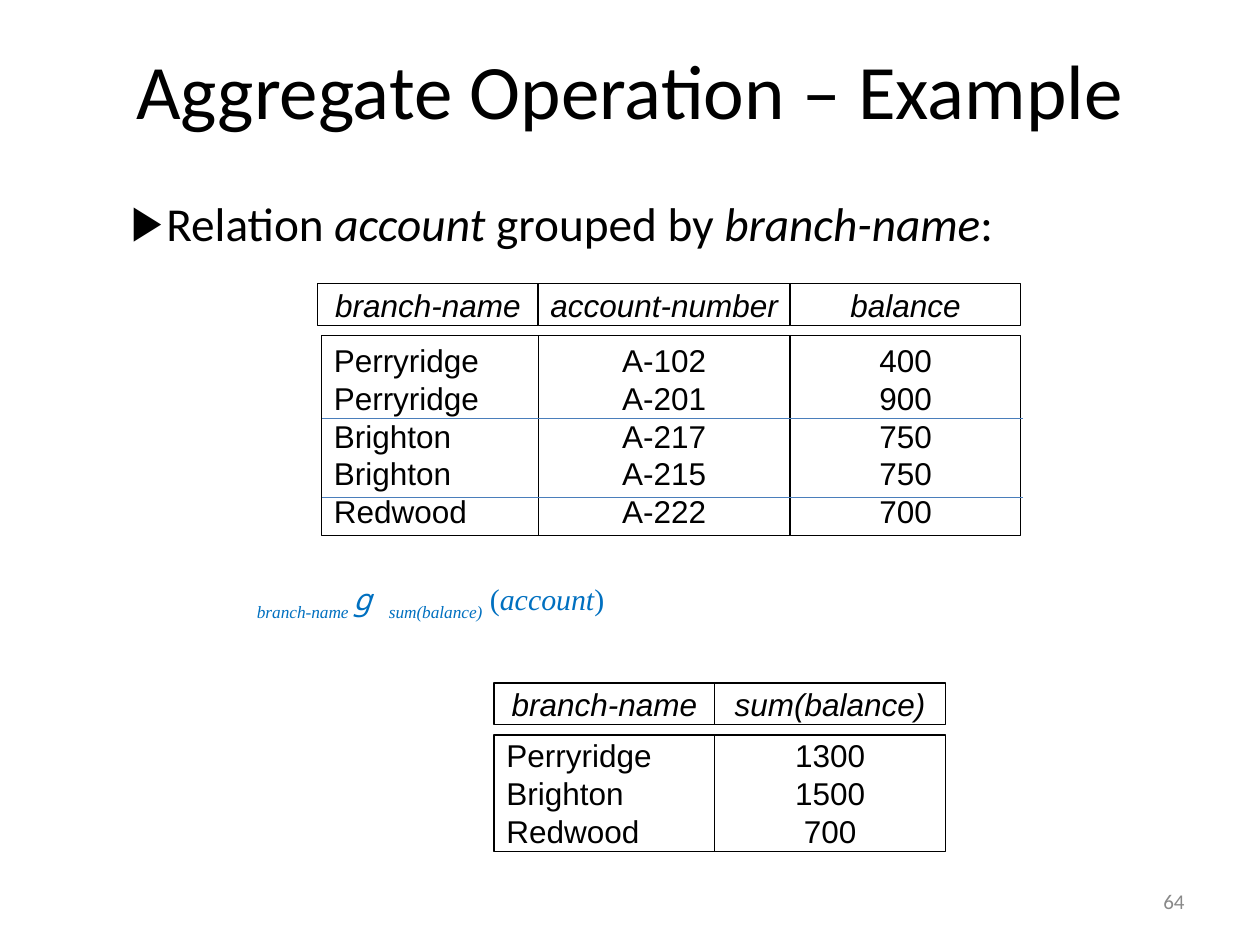
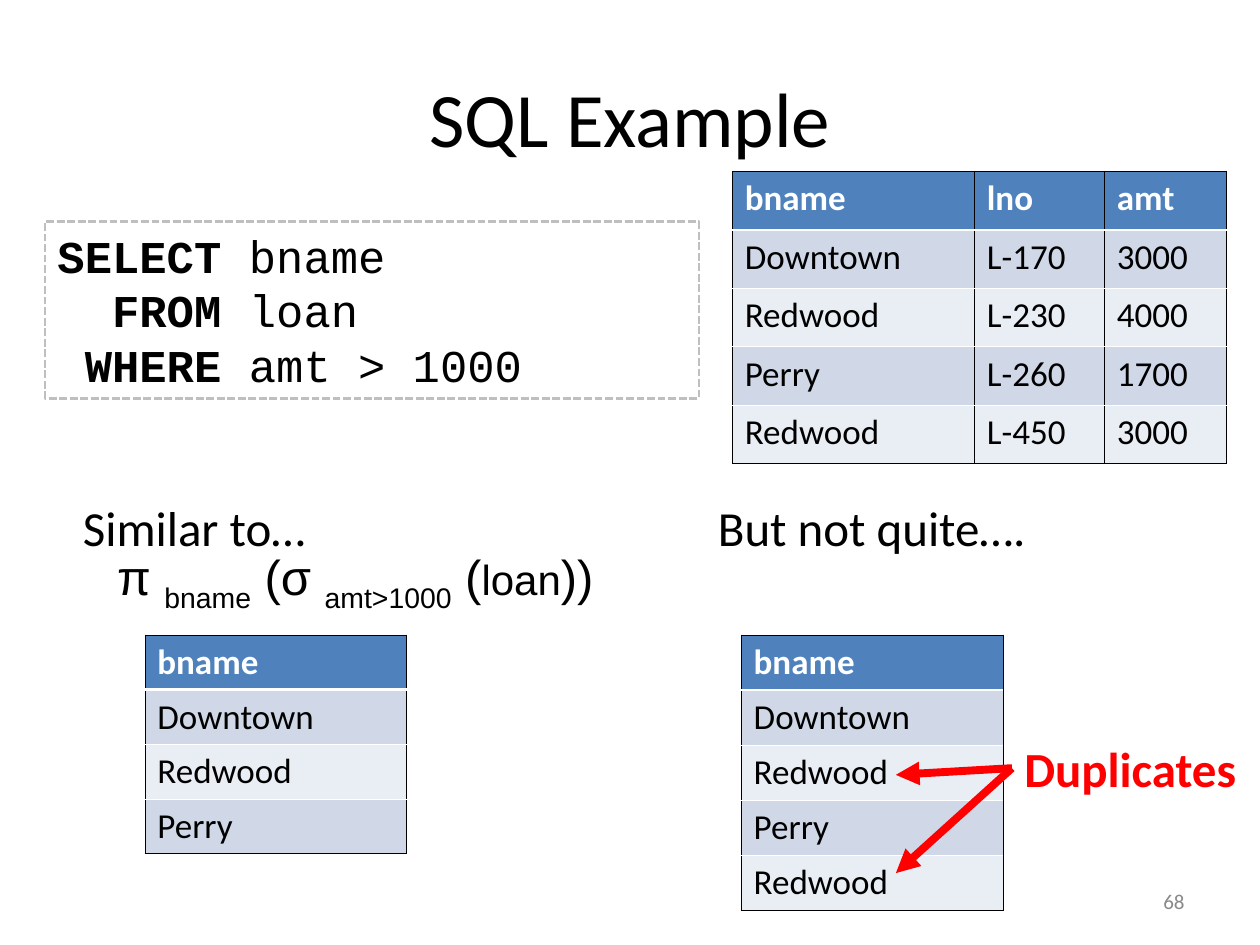
from lxml import etree
from pptx import Presentation
from pptx.dml.color import RGBColor
from pptx.enum import dml, shapes, text
from pptx.oxml import ns
from pptx.util import Cm, Pt

COLORS = {
    "black": "000000", "white": "FFFFFF", "formula": "0070C0", "rule": "4A7EBB",
    "number": "898989", "dash": "BFBFBF", "red": "FF0000",
    "header": "4F81BD", "odd": "D0D8E8", "even": "E9EDF4",
}
LEFT, CENTER, RIGHT = text.PP_ALIGN.LEFT, text.PP_ALIGN.CENTER, text.PP_ALIGN.RIGHT
MIDDLE = text.MSO_ANCHOR.MIDDLE
ITALIC, BOLD = {"italic": True}, {"bold": True}


def write(frame, lines, size, name="Arial", color="black", align=LEFT, **common):
    for index, line in enumerate(lines):
        para = frame.add_paragraph() if index else frame.paragraphs[0]
        para.alignment = align
        for words, look in [(line, {})] if isinstance(line, str) else line:
            span = para.add_run()
            span.text = words
            span.font.color.rgb = RGBColor.from_string(COLORS[color])
            look = {"size": size, "name": name, **common, **look}
            if look.pop("sub", False):
                span.font._element.set("baseline", "-25000")
            look["size"] = Pt(look["size"])
            for key, value in look.items():
                setattr(span.font, key, value)


def draw_line(page, start, end, color, width):
    line = page.shapes.add_connector(
        shapes.MSO_CONNECTOR.STRAIGHT, *[Cm(v) for v in start + end])
    line.line.color.rgb = RGBColor.from_string(COLORS[color])
    line.line.width = Pt(width)
    etree.SubElement(line._element.spPr, ns.qn("a:effectLst"))
    return line


deck = Presentation()
deck.slide_width, deck.slide_height = Cm(25.4), Cm(19.05)
pages = []
for layout, title, top, number in [
    (1, "Aggregate Operation – Example", 0.2, "64"),
    (5, "SQL Example", 0.76, "68"),
]:
    page = deck.slides.add_slide(deck.slide_layouts[layout])
    box = page.shapes.title
    box.left, box.top, box.width, box.height = Cm(1.27), Cm(top), Cm(22.86), Cm(3.18)
    box.text_frame.vertical_anchor = MIDDLE
    write(box.text_frame, [title], 44, "Calibri", align=CENTER)
    box = page.shapes.add_textbox(Cm(18.2), Cm(17.65), Cm(5.93), Cm(1.02))
    box.text_frame.word_wrap = True
    box.text_frame.vertical_anchor = MIDDLE
    write(box.text_frame, [number], 12, "Calibri", "number", RIGHT)
    pages.append(page)
aggregate, sql = pages

body = aggregate.placeholders[1]
body.left, body.top, body.width, body.height = Cm(2.08), Cm(4.01), Cm(21.03), Cm(1.22)
body.text_frame.auto_size = text.MSO_AUTO_SIZE.NONE
write(body.text_frame, [[
    ("Relation ", {}), ("account", ITALIC), (" grouped by ", {}),
    ("branch-name", ITALIC), (":", {}),
]], 27, "Calibri")
para = body.text_frame.paragraphs[0]
para.line_spacing, para.space_before = 0.8, Pt(0)
properties = para._p.get_or_add_pPr()
properties.set("marL", str(Cm(1.02)))
properties.set("indent", str(Cm(-0.71)))
bullet_color = etree.SubElement(properties, ns.qn("a:buClr"))
etree.SubElement(bullet_color, ns.qn("a:srgbClr"), val=COLORS["black"])
etree.SubElement(properties, ns.qn("a:buChar"), char="▶")

formula = aggregate.shapes.add_textbox(Cm(4.93), Cm(11.66), Cm(17.35), Cm(1.14))
formula.text_frame.word_wrap = True
write(formula.text_frame, [[
    ("branch-name ", {"italic": True, "sub": True}),
    ("g ", {"italic": True, "name": "Noto Sans Mono"}),
    ("sum(balance)", {"italic": True, "sub": True}),
    (" (", {}), ("account", ITALIC), (")", {}),
]], 17.1, "Times New Roman", "formula")
formula.text_frame.paragraphs[0].line_spacing = 0.8

account = [
    (4.45, LEFT, "branch-name", ["Perryridge", "Perryridge", "Brighton", "Brighton", "Redwood"]),
    (5.08, CENTER, "account-number", ["A-102", "A-201", "A-217", "A-215", "A-222"]),
    (4.65, CENTER, "balance", ["400", "900", "750", "750", "700"]),
]
sums = [
    (4.45, LEFT, "branch-name", ["Perryridge", "Brighton", "Redwood"]),
    (4.65, CENTER, "sum(balance)", ["1300", "1500", "700"]),
]
for left, top, shift, body_height, columns in [
    (6.4, 5.72, 0.08, 4.02, account),
    (9.96, 13.77, 0, 2.34, sums),
]:
    for width, align, heading, values in columns:
        for x, y, height, lines, side, italic in [
            (left, top, 0.84, [heading], CENTER, True),
            (left + shift, top + 1.05, body_height, values, align, False),
        ]:
            box = aggregate.shapes.add_shape(
                shapes.MSO_SHAPE.RECTANGLE, Cm(x), Cm(y), Cm(width), Cm(height))
            box.shadow.inherit = False
            box.fill.solid()
            box.fill.fore_color.rgb = RGBColor.from_string(COLORS["white"])
            box.line.color.rgb = RGBColor.from_string(COLORS["black"])
            box.line.width = Pt(0.75)
            box.text_frame.word_wrap = False
            box.text_frame.vertical_anchor = MIDDLE
            write(box.text_frame, lines, 18, align=side, italic=italic)
        left += width
        shift = 0

for y in (8.43, 10.03):
    draw_line(aggregate, (6.49, y), (20.62, y), "rule", 0.75)

query = sql.shapes.add_shape(
    shapes.MSO_SHAPE.RECTANGLE, Cm(0.91), Cm(4.47), Cm(13.18), Cm(3.56))
query.shadow.inherit = False
query.fill.background()
query.line.color.rgb = RGBColor.from_string(COLORS["dash"])
query.line.width = Pt(1.5)
query.line.dash_style = dml.MSO_LINE.SQUARE_DOT
query.text_frame.word_wrap = True
query.text_frame.vertical_anchor = text.MSO_ANCHOR.TOP
write(query.text_frame, [
    [("SELECT ", BOLD), ("bname", {})],
    [("  FROM ", BOLD), ("loan", {})],
    [(" WHERE ", BOLD), ("amt > 1000", {})],
], 26, "Courier New")

for words, x, y, width, align, color, bold in [
    ("Similar to…", 1.42, 9.91, 7.01, LEFT, "black", False),
    ("But not quite….", 14.22, 9.91, 6.71, CENTER, "black", False),
    ("Duplicates", 20.4, 14.76, 4.8, LEFT, "red", True),
]:
    label = sql.shapes.add_textbox(Cm(x), Cm(y), Cm(width), Cm(1.45))
    label.text_frame.word_wrap = False
    label.text_frame.auto_size = text.MSO_AUTO_SIZE.SHAPE_TO_FIT_TEXT
    write(label.text_frame, [words], 28, "Calibri", color, align, bold=bold)
duplicates = label

algebra = sql.shapes.add_textbox(Cm(2.11), Cm(10.9), Cm(12.73), Cm(1.6))
algebra.text_frame.word_wrap = True
write(algebra.text_frame, [[
    ("π ", {}), ("bname", {"sub": True}), (" (σ ", {}), ("amt>1000", {"sub": True}),
    (" (", {}), ("loan", {"size": 24}), ("))", {}),
]], 28)

loans = [
    ["bname", "lno", "amt"],
    ["Downtown", "L-170", "3000"],
    ["Redwood", "L-230", "4000"],
    ["Perry", "L-260", "1700"],
    ["Redwood", "L-450", "3000"],
]
distinct_names = [["bname"], ["Downtown"], ["Redwood"], ["Perry"]]
all_names = [row[:1] for row in loans]
for x, y, widths, row_height, rows in [
    (2.92, 12.8, [5.28], 1.1, distinct_names),
    (14.94, 12.8, [5.28], 1.11, all_names),
    (14.76, 3.45, [4.88, 2.62, 2.46], 1.18, loans),
]:
    last = len(rows) - 1
    table = sql.shapes.add_table(
        len(rows), len(widths), Cm(x), Cm(y),
        Cm(sum(widths)), Cm(row_height * len(rows))).table
    for column, width in zip(table.columns, widths):
        column.width = Cm(width)
    for r, row in enumerate(rows):
        table.rows[r].height = Cm(row_height)
        fill = "header" if r == 0 else "odd" if r % 2 else "even"
        borders = [
            ("lnL", "black", 0.45),
            ("lnR", "black", 0.45),
            ("lnT", "white" if r else "black", 1.47 if r == 1 else 0.45),
            ("lnB", "black" if r == last else "white", 0.45 if r else 1.47),
        ]
        for c, words in enumerate(row):
            cell = table.cell(r, c)
            cell.fill.solid()
            cell.fill.fore_color.rgb = RGBColor.from_string(COLORS[fill])
            write(cell.text_frame, [words], 20, "Calibri",
                  "black" if r else "white", bold=r == 0)
            cell_properties = cell._tc.get_or_add_tcPr()
            for position, (side, color, width) in enumerate(borders):
                border = etree.Element(ns.qn("a:" + side), w=str(Pt(width)))
                solid = etree.SubElement(border, ns.qn("a:solidFill"))
                etree.SubElement(solid, ns.qn("a:srgbClr"), val=COLORS[color])
                cell_properties.insert(position, border)

for y in (17.6, 15.62):
    arrow = draw_line(sql, (20.4, 15.48), (18.06, y), "red", 4.5)
    arrow.begin_connect(duplicates, 1)
    etree.SubElement(arrow.line._get_or_add_ln(), ns.qn("a:tailEnd"), type="triangle")

deck.save("out.pptx")
